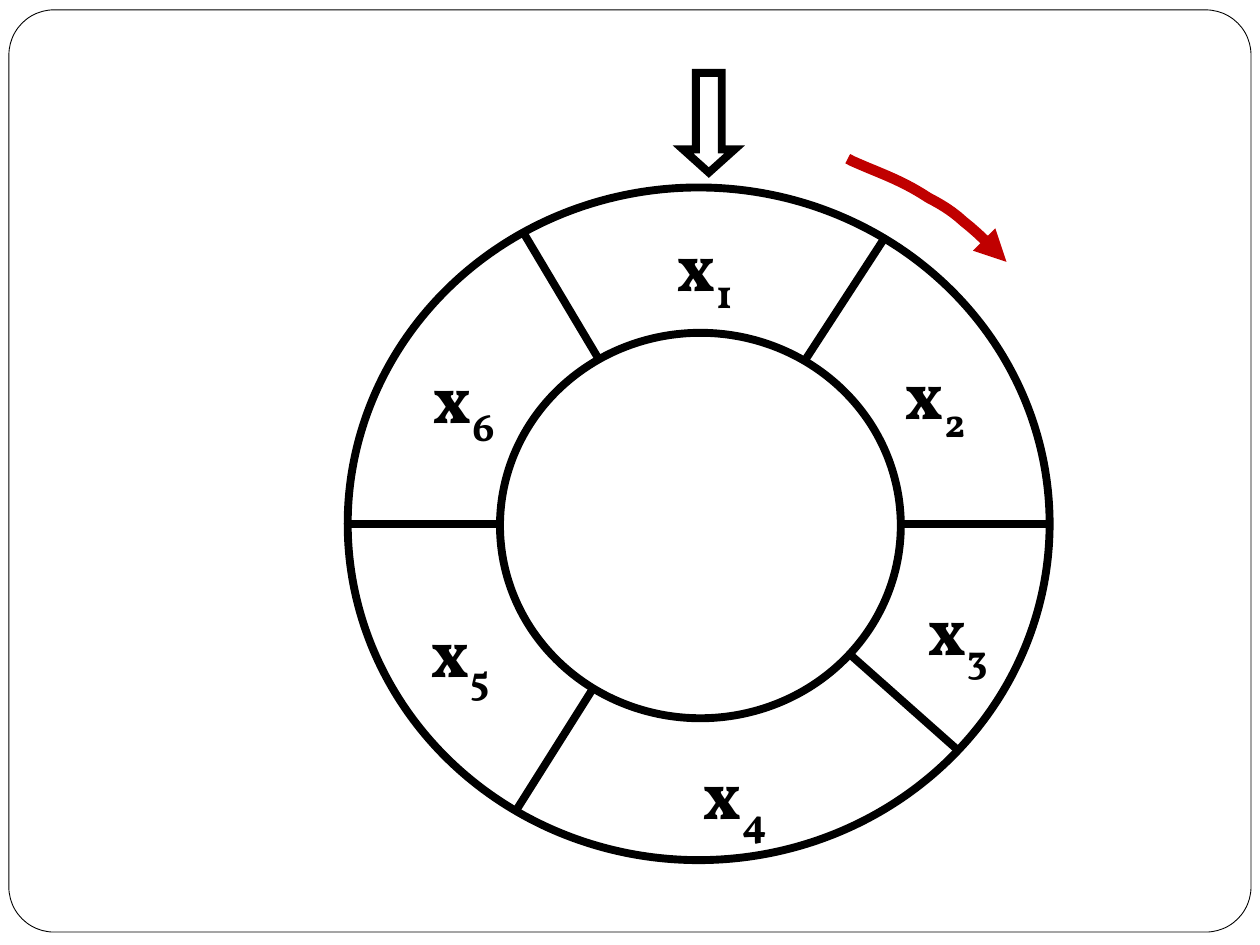
from lxml.etree import SubElement
from pptx import Presentation
from pptx.dml.color import RGBColor
from pptx.enum.shapes import MSO_CONNECTOR, MSO_SHAPE
from pptx.enum.text import MSO_ANCHOR, PP_ALIGN
from pptx.oxml.ns import qn
from pptx.util import Cm, Pt

THEME = {
    "ink": RGBColor(0x00, 0x00, 0x00),
    "paper": RGBColor(0xFF, 0xFF, 0xFF),
    "turn": RGBColor(0xC0, 0x00, 0x00),
    "font": "Vollkorn",
    "label_size": Pt(40),
    "frame_line": Pt(0.5),
    "wheel_line": Pt(4.5),
    "turn_line": Pt(6),
}


def style_outline(shape, color=THEME["ink"], width=THEME["wheel_line"], fill=None):
    """Set the line and fill of a shape and drop its shadow."""
    shape.shadow.inherit = False
    shape.line.color.rgb = color
    shape.line.width = width
    if fill is None:
        shape.fill.background()
    else:
        shape.fill.solid()
        shape.fill.fore_color.rgb = fill


def add_label(page, left, top, letter, index, size=THEME["label_size"], color=THEME["ink"]):
    """Add a centred bold letter with a subscript index."""
    box = page.shapes.add_textbox(Cm(left), Cm(top), Cm(2.54), Cm(2.01))
    frame = box.text_frame
    frame.word_wrap = True
    frame.vertical_anchor = MSO_ANCHOR.TOP
    para = frame.paragraphs[0]
    para.alignment = PP_ALIGN.CENTER
    for text, baseline in ((letter, None), (index, "-25000")):
        span = para.add_run()
        span.text = text
        span.font.name = THEME["font"]
        span.font.size = size
        span.font.bold = True
        span.font.color.rgb = color
        if baseline:
            span.font._element.set("baseline", baseline)


deck = Presentation()
deck.slide_width, deck.slide_height = Cm(25.4), Cm(19.05)
page = deck.slides.add_slide(deck.slide_layouts[6])

border = page.shapes.add_shape(
    MSO_SHAPE.ROUNDED_RECTANGLE, Cm(0.18), Cm(0.2), Cm(25.04), Cm(18.59))
border.adjustments[0] = 0.049
style_outline(border, width=THEME["frame_line"], fill=THEME["paper"])

# Inner and outer rim of the wheel
for rim in ((10.08, 6.71, 8.08, 7.77), (7.01, 3.78, 14.15, 13.56)):
    style_outline(page.shapes.add_shape(MSO_SHAPE.OVAL, *map(Cm, rim)))

# Spokes from the outer rim to the inner rim
spokes = (
    (17.81, 4.83, 16.23, 7.26),
    (21.13, 10.57, 18.14, 10.57),
    (19.33, 15.14, 17.12, 13.18),
    (10.39, 16.36, 11.96, 13.87),
    (6.99, 10.57, 10.06, 10.57),
    (10.54, 4.67, 12.07, 7.24),
)
for ends in spokes:
    spoke = page.shapes.add_connector(MSO_CONNECTOR.STRAIGHT, *map(Cm, ends))
    spoke.line.color.rgb = THEME["ink"]
    spoke.line.width = THEME["wheel_line"]
    SubElement(spoke._element.spPr, qn("a:effectLst"))

label_places = ((12.93, 4.34), (17.58, 6.93), (18.03, 11.68),
                (13.54, 14.99), (8, 12.12), (8.08, 7.01))
for index, (left, top) in enumerate(label_places, start=1):
    add_label(page, left, top, "x", str(index))

pointer = page.shapes.add_shape(
    MSO_SHAPE.DOWN_ARROW, Cm(13.77), Cm(1.47), Cm(1.04), Cm(2.01))
pointer.adjustments[0], pointer.adjustments[1] = 0.5, 0.449
style_outline(pointer)
SubElement(pointer.line._get_or_add_ln(), qn("a:miter"), lim="800000")

# Direction of turning: cubic curves, each starting where the last one ends
start = (17.09, 3.2)
curves = (
    ((17.22, 3.28), (17.75, 3.48), (18.03, 3.61)),
    ((18.29, 3.73), (18.49, 3.84), (18.72, 3.99)),
    ((18.95, 4.11), (19.18, 4.24), (19.43, 4.47)),
    ((19.69, 4.67), (20, 4.98), (20.29, 5.28)),
)
steps = 6
points = [start]
for curve in curves:
    corners = (points[-1], *curve)
    for step in range(1, steps + 1):
        t = step / steps
        weights = ((1 - t) ** 3, 3 * t * (1 - t) ** 2, 3 * t ** 2 * (1 - t), t ** 3)
        points.append(tuple(
            sum(weight * corner[axis] for weight, corner in zip(weights, corners))
            for axis in (0, 1)))
builder = page.shapes.build_freeform(Cm(start[0]), Cm(start[1]))
builder.add_line_segments([(Cm(x), Cm(y)) for x, y in points[1:]], close=False)
turn = builder.convert_to_shape()
style_outline(turn, color=THEME["turn"], width=THEME["turn_line"])
SubElement(turn.line._get_or_add_ln(), qn("a:tailEnd"), type="triangle")

deck.save("out.pptx")
